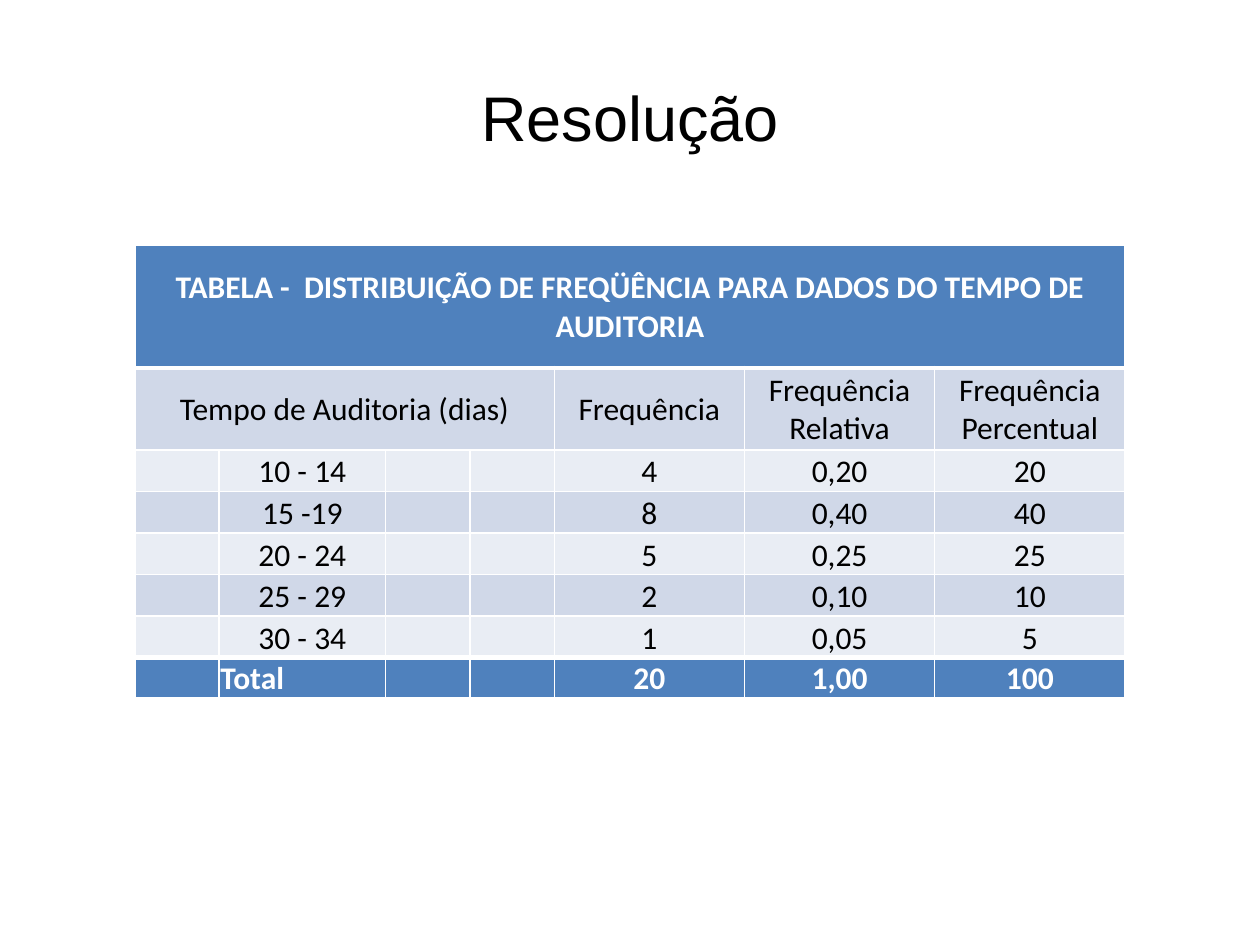
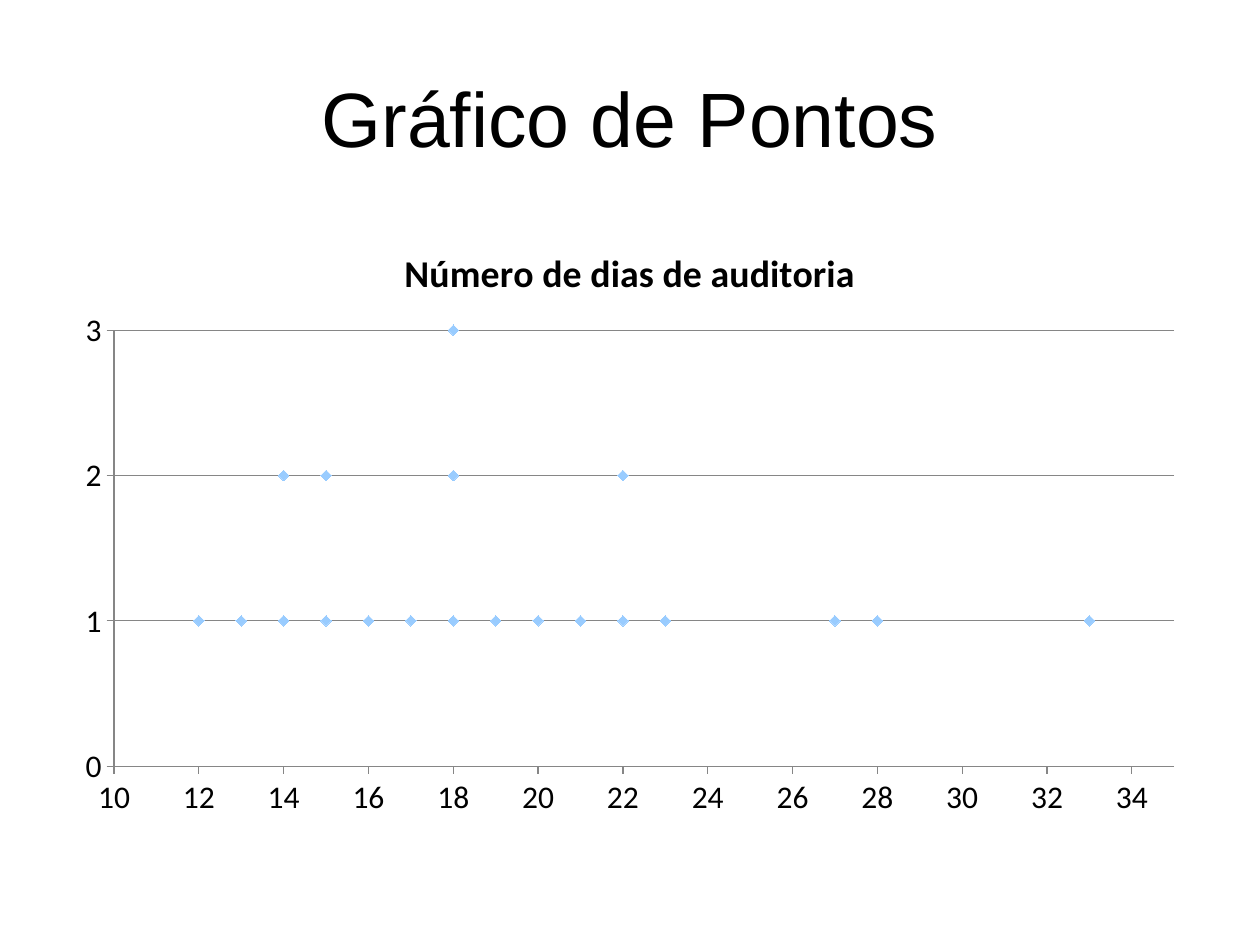
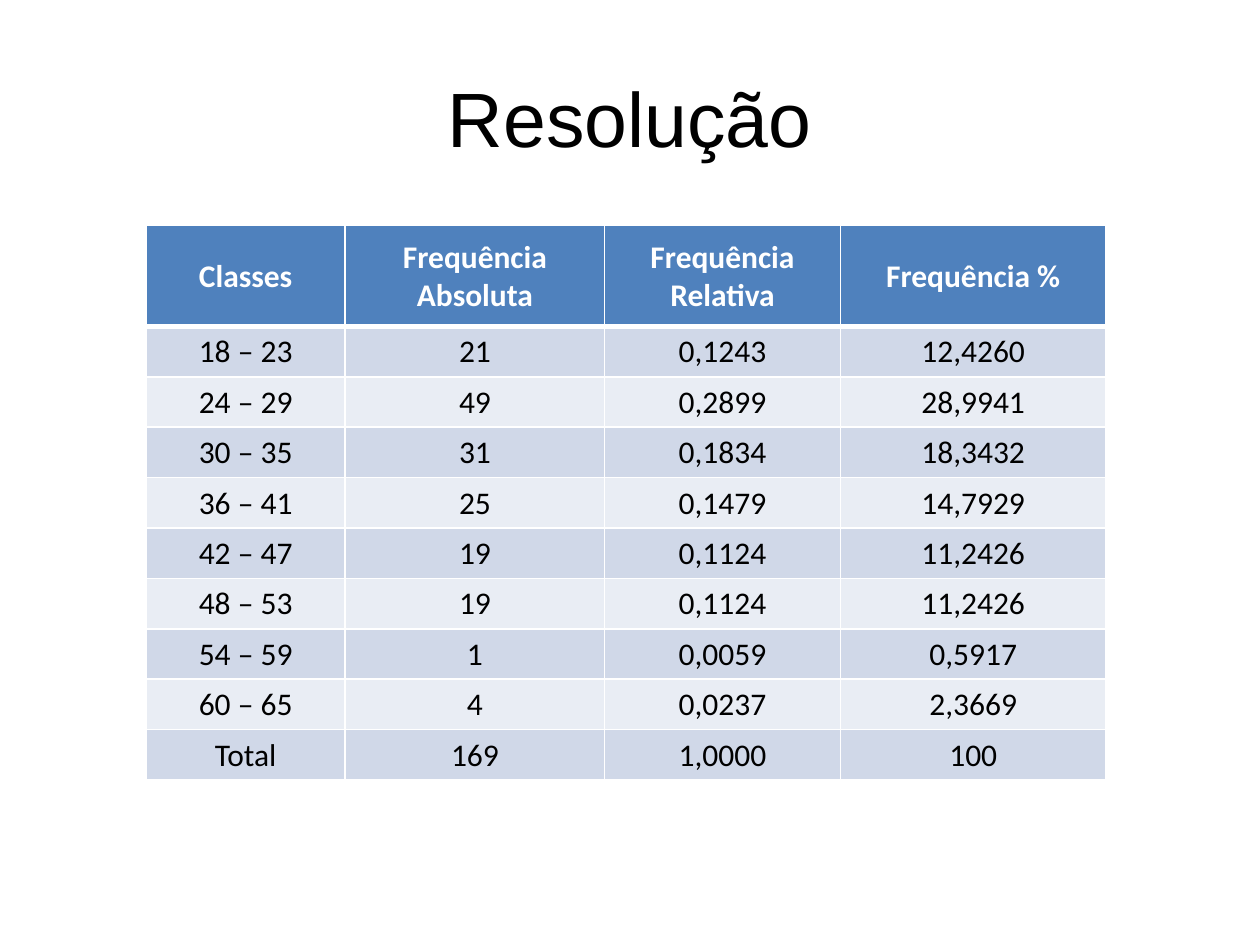
from dataclasses import dataclass

from lxml import etree
from pptx import Presentation
from pptx.chart.data import XyChartData
from pptx.dml.color import RGBColor
from pptx.enum.chart import XL_CHART_TYPE, XL_MARKER_STYLE, XL_TICK_MARK
from pptx.enum.text import MSO_ANCHOR, PP_ALIGN
from pptx.oxml import parse_xml
from pptx.oxml.ns import nsdecls, qn
from pptx.util import Inches, Pt

CENTER, LEFT = PP_ALIGN.CENTER, PP_ALIGN.LEFT
MIDDLE, BOTTOM = MSO_ANCHOR.MIDDLE, MSO_ANCHOR.BOTTOM
SCATTER = XL_CHART_TYPE.XY_SCATTER
DIAMOND = XL_MARKER_STYLE.DIAMOND
OUTSIDE = XL_TICK_MARK.OUTSIDE


@dataclass(frozen=True)
class Theme:
    text: str = "000000"
    white: str = "FFFFFF"
    header: str = "4F81BD"
    band_dark: str = "D0D8E8"
    band_light: str = "E9EDF4"
    axis: str = "868686"
    marker: str = "99CCFF"
    title_font: str = "Arial"
    body_font: str = "Calibri"
    title_size: float = 44
    body_size: float = 18
    chart_title_size: float = 21.6
    thin: float = 1
    thick: float = 3


def rgb(value):
    return RGBColor.from_string(value)


class Deck:
    def __init__(self, theme):
        self.theme = theme
        self.prs = Presentation()
        self.prs.slide_width, self.prs.slide_height = Inches(10), Inches(7.5)
        self.s = None

    def style(self, font, size, color, name=None, bold=False):
        font.name = name or self.theme.body_font
        font.size = Pt(size)
        font.bold = bold
        font.color.rgb = rgb(color)

    def slide(self, title, size=None):
        t = self.theme
        self.s = self.prs.slides.add_slide(self.prs.slide_layouts[5])
        sp = self.s.shapes.title
        sp.left, sp.top = Inches(0.5), Inches(0.3)
        sp.width, sp.height = Inches(9), Inches(1.25)
        tf = sp.text_frame
        tf.text = title
        tf.vertical_anchor = MIDDLE
        p = tf.paragraphs[0]
        p.alignment = CENTER
        self.style(p.runs[0].font, size or t.title_size, t.text, t.title_font)

    def borders(self, cell, top, bottom):
        tcPr = cell._tc.get_or_add_tcPr()
        widths = {"L": self.theme.thin, "R": self.theme.thin, "T": top, "B": bottom}
        for side, width in widths.items():
            ln = etree.SubElement(tcPr, qn(f"a:ln{side}"), w=str(Pt(width)))
            fill = etree.SubElement(ln, qn("a:solidFill"))
            etree.SubElement(fill, qn("a:srgbClr"), val=self.theme.white)

    def cell(self, cell, text, fill, heading, anchor, align):
        t = self.theme
        cell.margin_left = cell.margin_right = cell.margin_top = Inches(0.01)
        cell.margin_bottom = 0
        cell.vertical_anchor = anchor
        cell.fill.solid()
        cell.fill.fore_color.rgb = rgb(fill)
        p = cell.text_frame.paragraphs[0]
        p.text = text
        p.alignment = align
        for r in p.runs:
            self.style(r.font, t.body_size, t.white if heading else t.text, bold=heading)

    def table(self, left, top, cols, heights, rows, spans=(), total=False, middle_rows=None):
        """The first row is a heading; with total, so is the last one."""
        t = self.theme
        last = len(rows) - 1
        headings = {0, last} if total else {0}
        thick_edges = {1, last} if total else {1}
        middle_rows = len(rows) if middle_rows is None else middle_rows
        tbl = self.s.shapes.add_table(
            len(rows), len(cols), Inches(left), Inches(top),
            Inches(sum(cols)), Inches(sum(heights))).table
        tbl.first_row = tbl.horz_banding = False
        for column, width in zip(tbl.columns, cols):
            column.width = Inches(width)
        for i, (row, height) in enumerate(zip(rows, heights)):
            tbl.rows[i].height = Inches(height)
            edges = [t.thick if e in thick_edges else t.thin for e in (i, i + 1)]
            band = t.band_dark if i % 2 else t.band_light
            for j, text in enumerate(row):
                self.borders(tbl.cell(i, j), *edges)
                self.cell(tbl.cell(i, j), text,
                          t.header if i in headings else band, i in headings,
                          MIDDLE if i < middle_rows else BOTTOM,
                          LEFT if total and i == last and text == "Total" else CENTER)
        for row, width in spans:
            tbl.cell(row, 0).merge(tbl.cell(row, width - 1))

    def axis(self, axis, low, high, step):
        axis.minimum_scale, axis.maximum_scale, axis.major_unit = low, high, step
        axis.major_tick_mark = OUTSIDE
        axis.format.line.color.rgb = rgb(self.theme.axis)
        axis.tick_labels.number_format = "0"
        axis.tick_labels.number_format_is_linked = False

    def dot_plot(self, left, top, width, height, title, points):
        t = self.theme
        data = XyChartData()
        series = data.add_series("Series 1")
        for x, y in points:
            series.add_data_point(x, y)
        chart = self.s.shapes.add_chart(
            SCATTER, Inches(left), Inches(top), Inches(width), Inches(height), data).chart
        self.style(chart.font, t.body_size, t.text)
        chart.has_legend = False
        chart.has_title = True
        tf = chart.chart_title.text_frame
        tf.text = title
        self.style(tf.paragraphs[0].runs[0].font, t.chart_title_size, t.text, bold=True)
        # Axes
        self.axis(chart.category_axis, 10, 35, 2)
        self.axis(chart.value_axis, 0, 3, 1)
        chart.category_axis.has_major_gridlines = False
        chart.value_axis.has_major_gridlines = True
        chart.value_axis.major_gridlines.format.line.color.rgb = rgb(t.axis)
        # Markers
        plot = chart.plots[0]
        plot.vary_by_categories = False
        dots = plot.series[0]
        dots.smooth = False
        dots.format.line.fill.background()
        dots.marker.style = DIAMOND
        dots.marker.size = 6
        dots.marker.format.fill.solid()
        dots.marker.format.fill.fore_color.rgb = rgb(t.marker)
        dots.marker.format.line.fill.background()
        # Inner plot area, as fractions of the chart
        area = chart._chartSpace.chart.plotArea
        for old in area.findall(qn("c:layout")):
            area.remove(old)
        box = {"x": 0.045, "y": 0.18, "w": 0.935, "h": 0.715}
        modes = "".join(f'<c:{k}Mode val="edge"/>' for k in "xy")
        sizes = "".join(f'<c:{k} val="{v}"/>' for k, v in box.items())
        area.insert(0, parse_xml(
            f'<c:layout {nsdecls("c")}><c:manualLayout><c:layoutTarget val="inner"/>'
            f'{modes}{sizes}</c:manualLayout></c:layout>'))


def stacked(days):
    """Pair each day with its running count, so that equal days pile up."""
    return [(day, days[:i + 1].count(day)) for i, day in enumerate(days)]


AUDIT_CLASSES = [
    ("10 - 14", "4", "0,20", "20"),
    ("15 -19", "8", "0,40", "40"),
    ("20 - 24", "5", "0,25", "25"),
    ("25 - 29", "2", "0,10", "10"),
    ("30 - 34", "1", "0,05", "5"),
    ("Total", "20", "1,00", "100"),
]
AUDIT_DAYS = [12, 13, 14, 14, 15, 15, 16, 17, 18, 18, 18, 19, 20, 21, 22, 22, 23, 27, 28, 33]
AGE_ROWS = [
    ("Classes", "Frequência Absoluta", "Frequência Relativa", "Frequência %"),
    ("18 – 23", "21", "0,1243", "12,4260"),
    ("24 – 29", "49", "0,2899", "28,9941"),
    ("30 – 35", "31", "0,1834", "18,3432"),
    ("36 – 41", "25", "0,1479", "14,7929"),
    ("42 – 47", "19", "0,1124", "11,2426"),
    ("48 – 53", "19", "0,1124", "11,2426"),
    ("54 – 59", "1", "0,0059", "0,5917"),
    ("60 – 65", "4", "0,0237", "2,3669"),
    ("Total", "169", "1,0000", "100"),
]


def main():
    deck = Deck(Theme())

    # Audit time: frequency table
    deck.slide("Resolução", size=36)
    heading = "TABELA -  DISTRIBUIÇÃO DE FREQÜÊNCIA PARA DADOS DO TEMPO DE AUDITORIA"
    rows = [
        [heading] + [""] * 6,
        ["Tempo de Auditoria (dias)", "", "", "",
         "Frequência", "Frequência Relativa", "Frequência Percentual"],
    ]
    rows += [["", label, "", "", *values] for label, *values in AUDIT_CLASSES]
    deck.table(1.07, 1.95, [0.67, 1.32, 0.67, 0.67] + [1.51] * 3,
               [0.97, 0.65] + [0.33] * 5 + [0.32], rows,
               spans=[(0, 7), (1, 4)], total=True, middle_rows=2)

    # Audit time: dot plot
    deck.slide("Gráfico de Pontos")
    deck.dot_plot(0.5, 1.75, 9, 4.84, "Número de dias de auditoria", stacked(AUDIT_DAYS))

    # Frequency table by class
    deck.slide("Resolução")
    deck.table(1.16, 1.79, [1.58, 2.06, 1.87, 2.11], [0.8] + [0.4] * 9, AGE_ROWS)

    deck.prs.save("out.pptx")


if __name__ == "__main__":
    main()
